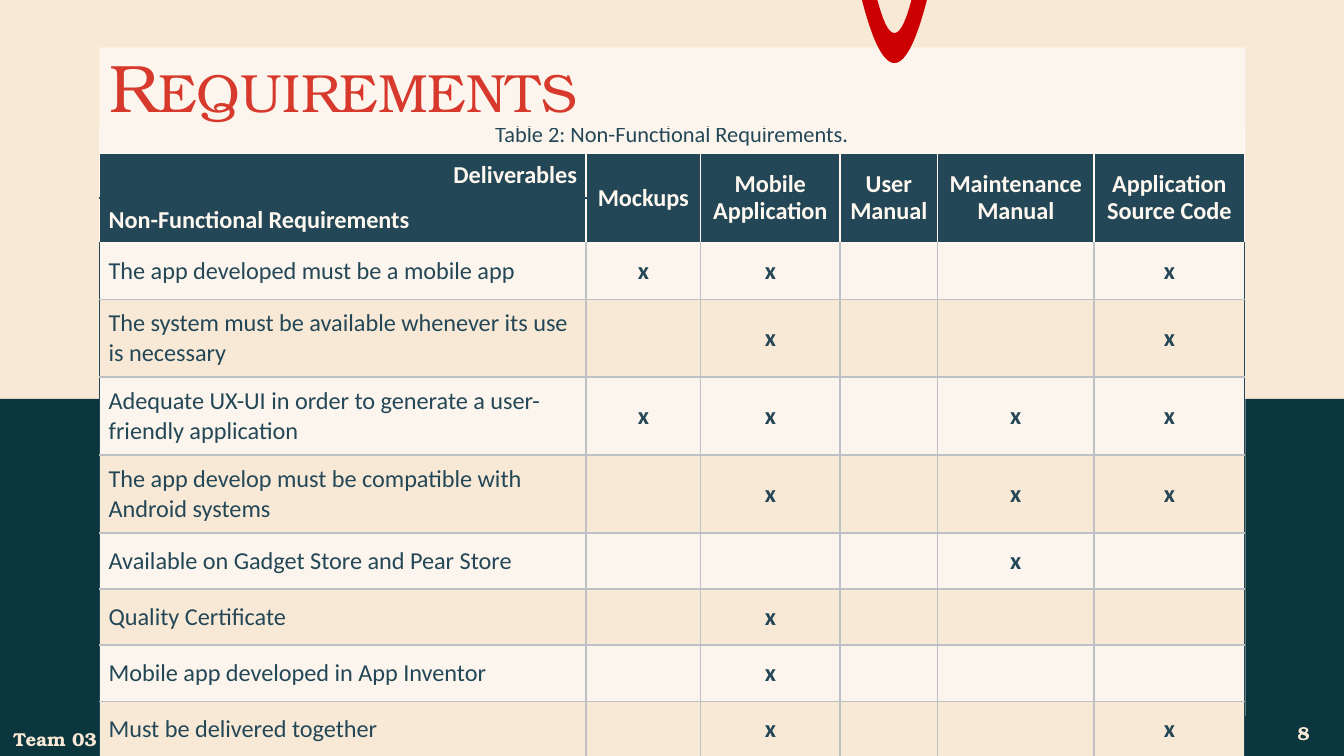
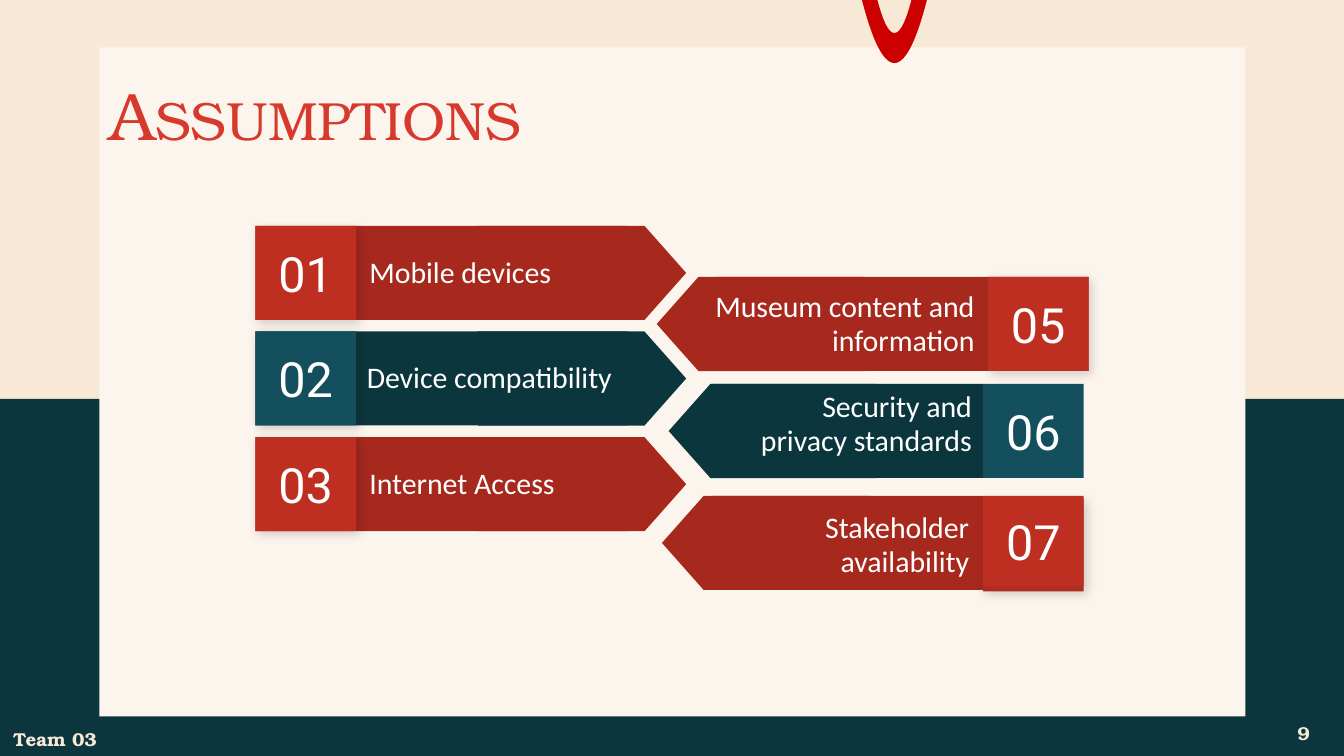
"""Build the requirements and assumptions slides of the Team 03 deck."""
from lxml import etree
from pptx import Presentation
from pptx.dml.color import RGBColor
from pptx.enum.shapes import MSO_SHAPE
from pptx.enum.text import MSO_ANCHOR, PP_ALIGN
from pptx.oxml.ns import qn
from pptx.util import Pt

COLORS = {
    "sand": "F8E8D6", "stripe": "F8E9D7", "panel": "FCF5ED", "night": "0C363D",
    "loop": "CC0000", "title": "D73A2C", "slate": "234756", "cream": "FFF8F0",
    "rule": "BDC1C6", "brick": "A7291E", "rust": "B02B20", "red": "BE2F22",
    "teal": "134F5C", "white": "FFFFFF", "shade": "000000",
}
SERIF, SANS, DIGITS = "TeX Gyre Bonum", "Calibri", "Roboto"
LEFT, CENTER, RIGHT, JUSTIFY = PP_ALIGN.LEFT, PP_ALIGN.CENTER, PP_ALIGN.RIGHT, PP_ALIGN.JUSTIFY
TOP, MIDDLE = MSO_ANCHOR.TOP, MSO_ANCHOR.MIDDLE

HEADERS = ["Mockups", "Mobile Application", "User Manual", "Maintenance Manual", "Application Source Code"]
REQUIREMENTS = [
    ("The app developed must be a mobile app", "xx--x"),
    ("The system must be available whenever its use is necessary", "-x--x"),
    ("Adequate UX-UI in order to generate a user-friendly application", "xx-xx"),
    ("The app develop must be compatible with Android systems", "-x-xx"),
    ("Available on Gadget Store and Pear Store", "---x-"),
    ("Quality Certificate", "-x---"),
    ("Mobile app developed in App Inventor", "-x---"),
    ("Must be delivered together", "-x--x"),
]
COLUMN_WIDTHS = [260.9, 61.1, 75, 52, 84, 80.6]
ROW_HEIGHTS = [13.8, 24.2, 24.2, 30.1, 41.7, 41.7, 41.7, 30.1, 30.1, 30.1, 30.1]

BANNER_HEIGHT, NUMBER_WIDTH, BODY_WIDTH, TIP_LENGTH = 50.4, 54, 145.4, 111.6


def rgb(name):
    return RGBColor.from_string(COLORS[name])


class Deck:
    """Holds the deck style and the slide being drawn."""

    def __init__(self):
        self.prs = Presentation()
        self.prs.slide_width, self.prs.slide_height = Pt(720), Pt(405)
        self.slide = None

    def add_words(self, frame, text, size, color, font=SANS, bold=False, align=LEFT, spacing=None):
        paragraph = frame.paragraphs[0]
        paragraph.alignment = align
        if spacing:
            paragraph.line_spacing = spacing
        if not text:
            etree.SubElement(paragraph._p, qn("a:endParaRPr"), sz=str(size * 100))
            return None
        run = paragraph.add_run()
        run.text = text
        run.font.size, run.font.name, run.font.bold = Pt(size), font, bold
        run.font.color.rgb = rgb(color)
        return run

    def pad(self, frame):
        frame.word_wrap = True
        frame.vertical_anchor = MIDDLE
        frame.margin_left = frame.margin_right = frame.margin_top = frame.margin_bottom = Pt(7.2)
        return frame

    def text(self, x, y, w, h, text, size, color, **style):
        box = self.slide.shapes.add_textbox(Pt(x), Pt(y), Pt(w), Pt(h))
        return self.add_words(self.pad(box.text_frame), text, size, color, **style), box

    def paint(self, shape, color):
        shape.shadow.inherit = False
        shape.fill.solid()
        shape.fill.fore_color.rgb = rgb(color)
        shape.line.fill.background()
        return shape

    def shape(self, x, y, w, h, color, kind=MSO_SHAPE.RECTANGLE):
        return self.paint(self.slide.shapes.add_shape(kind, Pt(x), Pt(y), Pt(w), Pt(h)), color)

    def cast_shadow(self, shape):
        effects = shape._element.spPr.find(qn("a:effectLst"))
        shadow = etree.SubElement(effects, qn("a:outerShdw"), blurRad=str(Pt(5.6)), dist=str(Pt(2.2)),
                                  dir=str(45 * 60000), algn="bl", rotWithShape="0")
        shade = etree.SubElement(shadow, qn("a:srgbClr"), val=COLORS["shade"])
        etree.SubElement(shade, qn("a:alpha"), val="16000")

    def loop(self):
        def arc(half_width, depth):
            steps = [i / 20 for i in range(-20, 21)]
            return [(Pt(479.2 + half_width * t), Pt(depth * (1 - t * t))) for t in steps]

        outline = arc(17.4, 33.8) + arc(9.1, 17.7)[::-1]
        builder = self.slide.shapes.build_freeform(*outline[0])
        builder.add_line_segments(outline[1:], close=True)
        self.paint(builder.convert_to_shape(), "loop")

    def new_slide(self, title, title_top, number):
        self.slide = self.prs.slides.add_slide(self.prs.slide_layouts[6])
        self.shape(0, 0, 720, 409.5, "sand")
        self.shape(0, 213.7, 720, 195.8, "night")
        self.shape(53.2, 25.4, 614, 358.4, "panel")
        self.loop()
        heading, box = self.text(51.8, title_top, 643.7, 45.4, title, 36, "title", font=SERIF, align=JUSTIFY)
        heading._r.get_or_add_rPr().set("cap", "small")
        box.text_frame.paragraphs[0].space_after = Pt(36)
        self.text(676.8, 377.3, 43.2, 31, str(number), 10, "sand", font=SERIF, bold=True, align=CENTER)
        self.text(0, 383.4, 67, 25.2, "Team 03", 10, "sand", font=SERIF, bold=True)

    def cell(self, cell, text, size, color, borders, fill=None, anchor=MIDDLE, **style):
        cell.margin_left = cell.margin_right = cell.margin_top = cell.margin_bottom = Pt(5.04)
        cell.vertical_anchor = anchor
        properties = cell._tc.get_or_add_tcPr()
        for side, border in zip("LRTB", borders):
            line = etree.SubElement(properties, qn(f"a:ln{side}"), w=str(Pt(1)))
            solid = etree.SubElement(line, qn("a:solidFill"))
            etree.SubElement(solid, qn("a:srgbClr"), val=COLORS[border])
        if fill:
            cell.fill.solid()
            cell.fill.fore_color.rgb = rgb(fill)
        else:
            cell.fill.background()
        self.add_words(cell.text_frame, text, size, color, **style)

    def requirements_table(self, x, y):
        frame = self.slide.shapes.add_table(len(ROW_HEIGHTS), len(COLUMN_WIDTHS), Pt(x), Pt(y),
                                            Pt(sum(COLUMN_WIDTHS)), Pt(sum(ROW_HEIGHTS)))
        table = frame.table
        table.first_row = table.horz_banding = False
        for column, width in zip(table.columns, COLUMN_WIDTHS):
            column.width = Pt(width)
        for row, height in zip(table.rows, ROW_HEIGHTS):
            row.height = Pt(height)
        last = len(COLUMN_WIDTHS) - 1
        table.cell(0, 0).merge(table.cell(0, last))
        for c in range(1, last + 1):
            table.cell(1, c).merge(table.cell(2, c))

        cream = ["cream"] * 4
        captions = ["Table 2: Non-Functional Requirements."] + [""] * last
        for c, caption in enumerate(captions):
            self.cell(table.cell(0, c), caption, 12, "slate", cream, anchor=TOP, align=CENTER, spacing=0.25)

        header = dict(fill="slate", bold=True, spacing=0.9)
        self.cell(table.cell(1, 0), "Deliverables", 13, "cream", cream[:3] + ["slate"],
                  anchor=TOP, align=RIGHT, **header)
        self.cell(table.cell(2, 0), "Non-Functional Requirements", 13, "cream",
                  ["cream", "cream", "slate", "cream"], **header)
        for c, deliverable in enumerate(HEADERS, 1):
            self.cell(table.cell(1, c), deliverable, 13, "cream", cream, align=CENTER, **header)
            self.cell(table.cell(2, c), "", 13, "cream", cream, **header)

        for r, (requirement, marks) in enumerate(REQUIREMENTS):
            for c, entry in enumerate([requirement, *marks.replace("-", " ")]):
                borders = ["rule" if c else "slate", "slate" if c == last else "rule",
                           "rule" if r else "cream",
                           "slate" if r == len(REQUIREMENTS) - 1 else "rule"]
                self.cell(table.cell(r + 3, c), entry.strip(), 13, "slate", borders,
                          fill="stripe" if r % 2 else None, bold=c > 0, align=CENTER if c else LEFT)

    def banner(self, number, label, number_x, y, tip_x, label_box, colors, points_right, drop=0.0):
        body, backing, tile = colors
        body_x = number_x + NUMBER_WIDTH if points_right else number_x - BODY_WIDTH
        self.shape(body_x, y, BODY_WIDTH, BANNER_HEIGHT, body)
        inset = (TIP_LENGTH - BANNER_HEIGHT) / 2
        tip = self.shape(tip_x + inset, y - inset, BANNER_HEIGHT, TIP_LENGTH, body,
                         MSO_SHAPE.FLOWCHART_OFFPAGE_CONNECTOR)
        tip.rotation = 270 if points_right else 90
        label_x, label_drop, label_w, label_h = label_box
        self.text(label_x, y + label_drop, label_w, label_h, label, 16, "white",
                  align=JUSTIFY if points_right else RIGHT, spacing=0.95)
        if backing:
            self.cast_shadow(self.shape(number_x, y + drop, NUMBER_WIDTH, BANNER_HEIGHT - drop / 2, backing))
        square = self.shape(number_x, y, NUMBER_WIDTH, BANNER_HEIGHT - 1.5 * drop, tile)
        self.add_words(self.pad(square.text_frame), number, 26, "white", font=DIGITS, align=CENTER)


def main():
    deck = Deck()
    deck.new_slide("Requirements", 23, 8)
    deck.requirements_table(53.2, 68.2)

    deck.new_slide("Assumptions", 38.2, 9)
    red, teal = ("brick", "rust", "red"), ("night", "night", "teal")
    left_banners = [
        ("01", "Mobile devices", 190.8, red),
        ("02", "Device compatibility", 189.4, teal),
        ("03", "Internet Access", 190.8, red),
    ]
    for i, (number, label, label_x, colors) in enumerate(left_banners):
        deck.banner(number, label, 136.8, 121 + 56.6 * i, 256, (label_x, 5.8, 159, 38.9), colors, True)
    right_banners = [
        ("05", "Museum content and information", 529.2, 148.4, 351.8, (371.5, 5.8, 157.7, 38.9), red, 0),
        ("06", "Security and privacy standards", 526.6, 205.7, 358.2, (383.8, 3.6, 144, 36), ("night", None, "teal"), 0),
        ("07", "Stakeholder availability", 526.6, 265.7, 354.6, (373.7, 5, 152.6, 43.2), red, 1.4),
    ]
    for number, label, number_x, y, tip_x, label_box, colors, drop in right_banners:
        deck.banner(number, label, number_x, y, tip_x, label_box, colors, False, drop)

    deck.prs.save("out.pptx")


if __name__ == "__main__":
    main()
